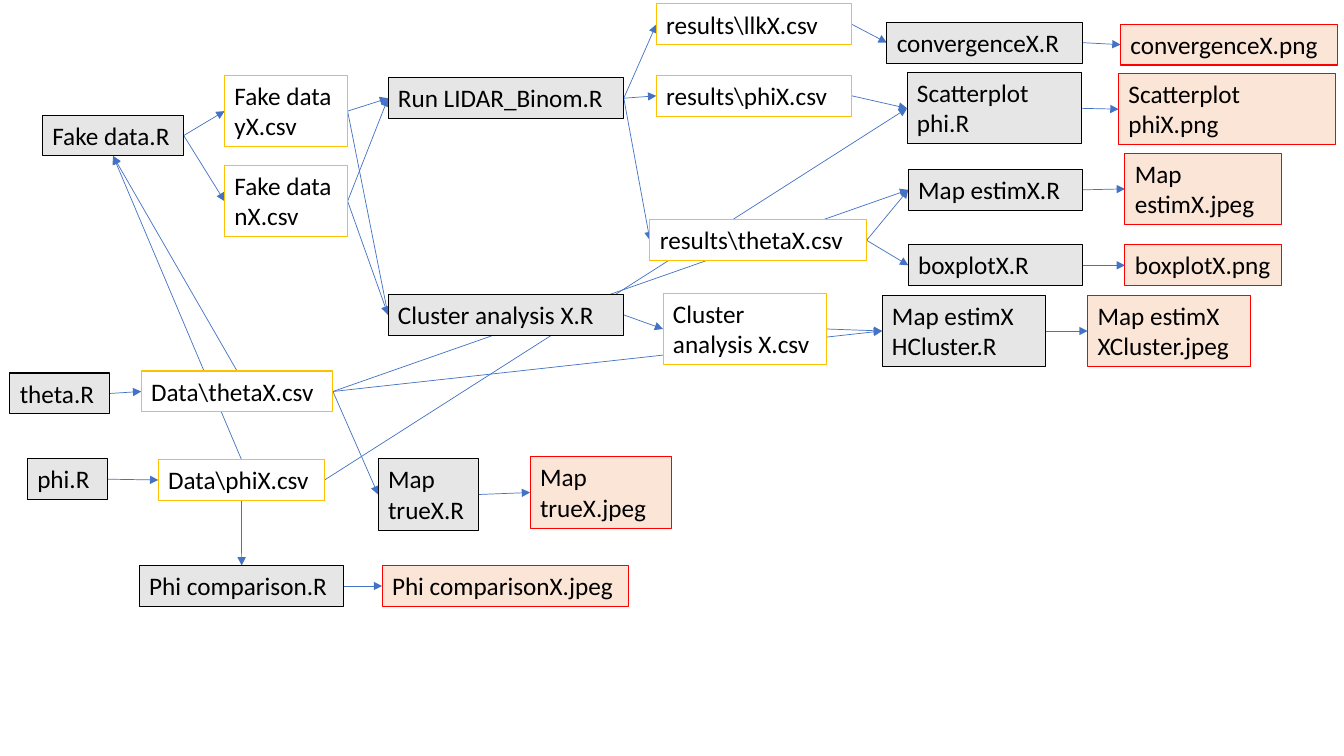
from pptx import Presentation
from pptx.dml.color import RGBColor
from pptx.enum.shapes import MSO_CONNECTOR
from pptx.enum.text import MSO_AUTO_SIZE
from pptx.oxml.ns import qn
from pptx.util import Cm, Pt
from lxml.etree import SubElement

BLACK = RGBColor(0x00, 0x00, 0x00)
WHITE = RGBColor(0xFF, 0xFF, 0xFF)
GRAY = RGBColor(0xE7, 0xE6, 0xE6)
GOLD = RGBColor(0xFF, 0xC0, 0x00)
RED = RGBColor(0xFF, 0x00, 0x00)
PEACH = RGBColor(0xFB, 0xE5, 0xD6)
BLUE = RGBColor(0x44, 0x72, 0xC4)

FILE_STYLES = {
    "R": (GRAY, BLACK),
    "csv": (WHITE, GOLD),
    "png": (PEACH, RED),
    "jpeg": (PEACH, RED),
}
LINE_HEIGHTS = {1: 1.03, 2: 1.8}
TOP, LEFT, BOTTOM, RIGHT = range(4)

# text: left, top, width, number of lines
FILES = {
    "Fake data.R": (1.07, 2.9, 3.56, 1),
    "theta.R": (0.25, 9.4, 2.51, 1),
    "phi.R": (0.69, 11.56, 2.03, 1),
    "Fake data yX.csv": (5.66, 1.9, 3.1, 2),
    "Fake data nX.csv": (5.66, 4.17, 3.1, 2),
    r"Data\thetaX.csv": (3.56, 9.35, 4.83, 1),
    r"Data\phiX.csv": (3.99, 11.58, 4.19, 1),
    "Run LIDAR_Binom.R": (9.78, 1.96, 5.94, 1),
    "Cluster analysis X.R": (9.78, 7.42, 5.94, 1),
    "Map trueX.R": (9.53, 11.56, 2.54, 2),
    "Phi comparison.R": (3.51, 14.25, 5.16, 1),
    r"results\llkX.csv": (16.54, 0.1, 4.93, 1),
    r"results\phiX.csv": (16.54, 1.9, 4.93, 1),
    r"results\thetaX.csv": (16.38, 5.54, 5.46, 1),
    "Cluster analysis X.csv": (16.71, 7.39, 4.11, 2),
    "convergenceX.R": (22.35, 0.56, 4.93, 1),
    "Scatterplot phi.R": (22.86, 1.83, 4.39, 2),
    "Map estimX.R": (22.89, 4.27, 4.39, 1),
    "boxplotX.R": (22.89, 6.17, 4.39, 1),
    "Map estimX HCluster.R": (22.23, 7.44, 4.11, 2),
    "convergenceX.png": (28.24, 0.61, 5.46, 1),
    "Scatterplot phiX.png": (28.19, 1.85, 5.46, 2),
    "Map estimX.jpeg": (28.35, 3.86, 3.94, 2),
    "boxplotX.png": (28.35, 6.17, 3.94, 1),
    "Map estimX XCluster.jpeg": (27.41, 7.44, 4.11, 2),
    "Map trueX.jpeg": (13.36, 11.51, 3.56, 2),
    "Phi comparisonX.jpeg": (9.63, 14.25, 6.2, 1),
}

FLOWS = {
    "theta.R": [r"Data\thetaX.csv"],
    "phi.R": [r"Data\phiX.csv"],
    "Fake data.R": ["Fake data yX.csv", "Fake data nX.csv"],
    "Fake data yX.csv": ["Run LIDAR_Binom.R", "Cluster analysis X.R"],
    "Fake data nX.csv": ["Run LIDAR_Binom.R", "Cluster analysis X.R"],
    r"Data\thetaX.csv": ["Map trueX.R", "Map estimX HCluster.R", "Map estimX.R"],
    r"Data\phiX.csv": ["Scatterplot phi.R"],
    "Run LIDAR_Binom.R": [r"results\llkX.csv", r"results\phiX.csv", r"results\thetaX.csv"],
    "Cluster analysis X.R": ["Cluster analysis X.csv"],
    r"results\llkX.csv": ["convergenceX.R"],
    r"results\phiX.csv": ["Scatterplot phi.R"],
    r"results\thetaX.csv": ["Map estimX.R", "boxplotX.R"],
    "Cluster analysis X.csv": ["Map estimX HCluster.R"],
    "convergenceX.R": ["convergenceX.png"],
    "Scatterplot phi.R": ["Scatterplot phiX.png"],
    "Map estimX.R": ["Map estimX.jpeg"],
    "boxplotX.R": ["boxplotX.png"],
    "Map estimX HCluster.R": ["Map estimX XCluster.jpeg"],
    "Map trueX.R": ["Map trueX.jpeg"],
    "Phi comparison.R": ["Phi comparisonX.jpeg"],
}
VERTICAL_FLOWS = [
    (r"Data\thetaX.csv", TOP, "Fake data.R", BOTTOM),
    (r"Data\phiX.csv", TOP, "Fake data.R", BOTTOM),
    (r"Data\phiX.csv", BOTTOM, "Phi comparison.R", TOP),
]


def add_file_box(slide, text, *, left, top, width, height, fill, outline, size=18):
    box = slide.shapes.add_textbox(Cm(left), Cm(top), Cm(width), Cm(height))
    box.fill.solid()
    box.fill.fore_color.rgb = fill
    box.line.color.rgb = outline
    box.line.width = Pt(0.75)
    frame = box.text_frame
    frame.word_wrap = True
    frame.auto_size = MSO_AUTO_SIZE.SHAPE_TO_FIT_TEXT
    run = frame.paragraphs[0].add_run()
    run.text = text
    run.font.name = "Calibri"
    run.font.size = Pt(size)
    run.font.color.rgb = BLACK
    return box


def add_arrow(slide, source, source_side, target, target_side):
    arrow = slide.shapes.add_connector(MSO_CONNECTOR.STRAIGHT, 0, 0, 0, 0)
    arrow.begin_connect(source, source_side)
    arrow.end_connect(target, target_side)
    arrow.line.color.rgb = BLUE
    arrow.line.width = Pt(0.5)
    SubElement(arrow.line._get_or_add_ln(), qn("a:tailEnd"), type="triangle")
    SubElement(arrow._element.spPr, qn("a:effectLst"))
    slide.shapes._spTree.insert(2, arrow._element)


def main():
    presentation = Presentation()
    presentation.slide_width = Cm(33.87)
    presentation.slide_height = Cm(19.05)
    slide = presentation.slides.add_slide(presentation.slide_layouts[6])

    boxes = {}
    for text, (left, top, width, lines) in FILES.items():
        fill, outline = FILE_STYLES[text.split(".")[-1]]
        boxes[text] = add_file_box(
            slide, text, left=left, top=top, width=width,
            height=LINE_HEIGHTS[lines], fill=fill, outline=outline,
        )

    flows = [(source, RIGHT, target, LEFT)
             for source, targets in FLOWS.items() for target in targets]
    for source, source_side, target, target_side in flows + VERTICAL_FLOWS:
        add_arrow(slide, boxes[source], source_side, boxes[target], target_side)

    presentation.save("out.pptx")


if __name__ == "__main__":
    main()
